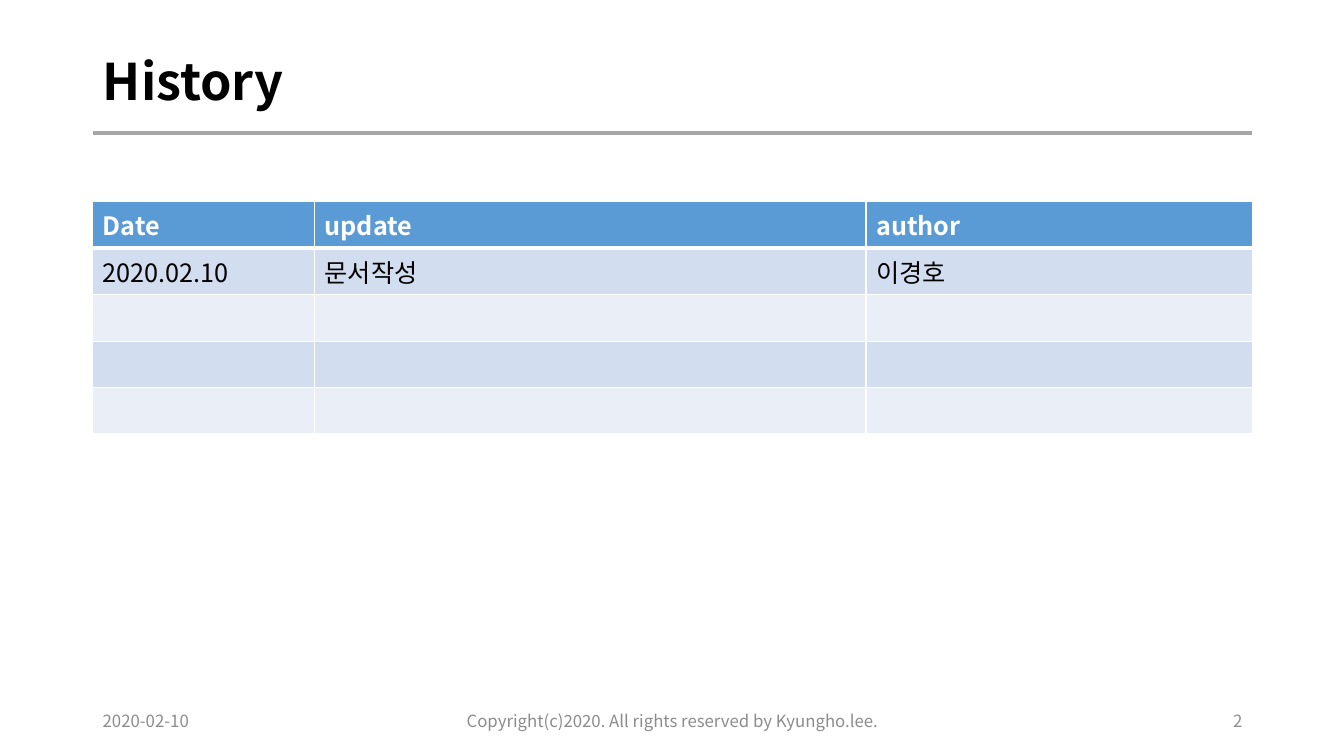
from lxml.etree import SubElement
from pptx import Presentation
from pptx.dml.color import RGBColor
from pptx.enum.shapes import MSO_CONNECTOR
from pptx.enum.text import MSO_ANCHOR, PP_ALIGN
from pptx.oxml.ns import qn
from pptx.util import Inches, Pt

FONT = "Noto Sans CJK KR"
LEFT, WIDTH = 0.92, 11.5
HEADER_FILL, BAND_FILLS = "5B9BD5", ("D2DEEF", "EAEFF7")
HISTORY = [
    ("Date", "update", "author"),
    ("2020.02.10", "문서작성", "이경호"),
    ("", "", ""),
    ("", "", ""),
    ("", "", ""),
]


def rgb(value):
    """Turn a hex string into a colour."""
    return RGBColor.from_string(value)


def set_text(tf, text, size, color, bold=False, align=PP_ALIGN.LEFT):
    """Write one formatted paragraph into a text frame."""
    tf.text = text
    p = tf.paragraphs[0]
    p.alignment = align
    for r in p.runs:
        r.font.size, r.font.bold, r.font.name = Pt(size), bold, FONT
        r.font.color.rgb = rgb(color)
        SubElement(r.font._element, qn("a:ea"), typeface=FONT)
    return p


def set_borders(cell, color, bottom):
    """Draw 1 pt cell borders, with a chosen width at the bottom."""
    tc_pr = cell._tc.get_or_add_tcPr()
    for side, width in (("L", 1), ("R", 1), ("T", 1), ("B", bottom)):
        ln = SubElement(tc_pr, qn(f"a:ln{side}"), w=str(Pt(width)))
        SubElement(SubElement(ln, qn("a:solidFill")), qn("a:srgbClr"), val=color)


def add_heading(s, left, top, width, height):
    """Place the title and the rule below it."""
    sp = s.shapes.title
    sp.left, sp.top = Inches(left), Inches(top)
    sp.width, sp.height = Inches(width), Inches(height)
    tf = sp.text_frame
    tf.vertical_anchor = MSO_ANCHOR.MIDDLE
    set_text(tf, "History", 36, "000000", bold=True).line_spacing = 0.9

    y = Inches(top + height + 0.05)
    rule = s.shapes.add_connector(
        MSO_CONNECTOR.STRAIGHT, Inches(left), y, Inches(left + width), y)
    rule.line.color.rgb = rgb("A5A5A5")
    rule.line.width = Pt(2.25)
    SubElement(rule._element.spPr, qn("a:effectLst"))


def add_history_table(s, left, top, width, height):
    """Place the banded revision table."""
    table = s.shapes.add_table(
        len(HISTORY), len(HISTORY[0]), Inches(left), Inches(top),
        Inches(width), Inches(height)).table
    date_width, update_width = 2.2, 5.47
    widths = (date_width, update_width, width - date_width - update_width)
    for column, column_width in zip(table.columns, widths):
        column.width = Inches(column_width)
    for i, row in enumerate(HISTORY):
        header = i == 0
        for j, text in enumerate(row):
            cell = table.cell(i, j)
            set_borders(cell, "FFFFFF", 3 if header else 1)
            cell.fill.solid()
            cell.fill.fore_color.rgb = rgb(
                HEADER_FILL if header else BAND_FILLS[(i - 1) % 2])
            set_text(cell.text_frame, text, 18,
                     "FFFFFF" if header else "000000", bold=header)


def add_footer(s, left, top, width, height):
    """Place date, copyright and page number at left, centre and right."""
    side, middle = 3, 4.5
    parts = (
        ("2020-02-10", 0, side, PP_ALIGN.LEFT),
        ("Copyright(c)2020. All rights reserved by Kyungho.lee.",
         (width - middle) / 2, middle, PP_ALIGN.CENTER),
        ("2", width - side, side, PP_ALIGN.RIGHT),
    )
    for text, offset, part_width, align in parts:
        sp = s.shapes.add_textbox(
            Inches(left + offset), Inches(top), Inches(part_width), Inches(height))
        tf = sp.text_frame
        tf.word_wrap = True
        tf.vertical_anchor = MSO_ANCHOR.MIDDLE
        set_text(tf, text, 12, "8C8C8C", align=align)


def add_history_slide(prs):
    """Build the document history slide."""
    s = prs.slides.add_slide(prs.slide_layouts[5])
    add_heading(s, LEFT, 0.4, WIDTH, 0.87)
    add_history_table(s, LEFT, 2, WIDTH, 2.3)
    add_footer(s, LEFT, 6.95, WIDTH, 0.4)


prs = Presentation()
prs.slide_width, prs.slide_height = Inches(13.33), Inches(7.5)
add_history_slide(prs)
prs.save("out.pptx")
